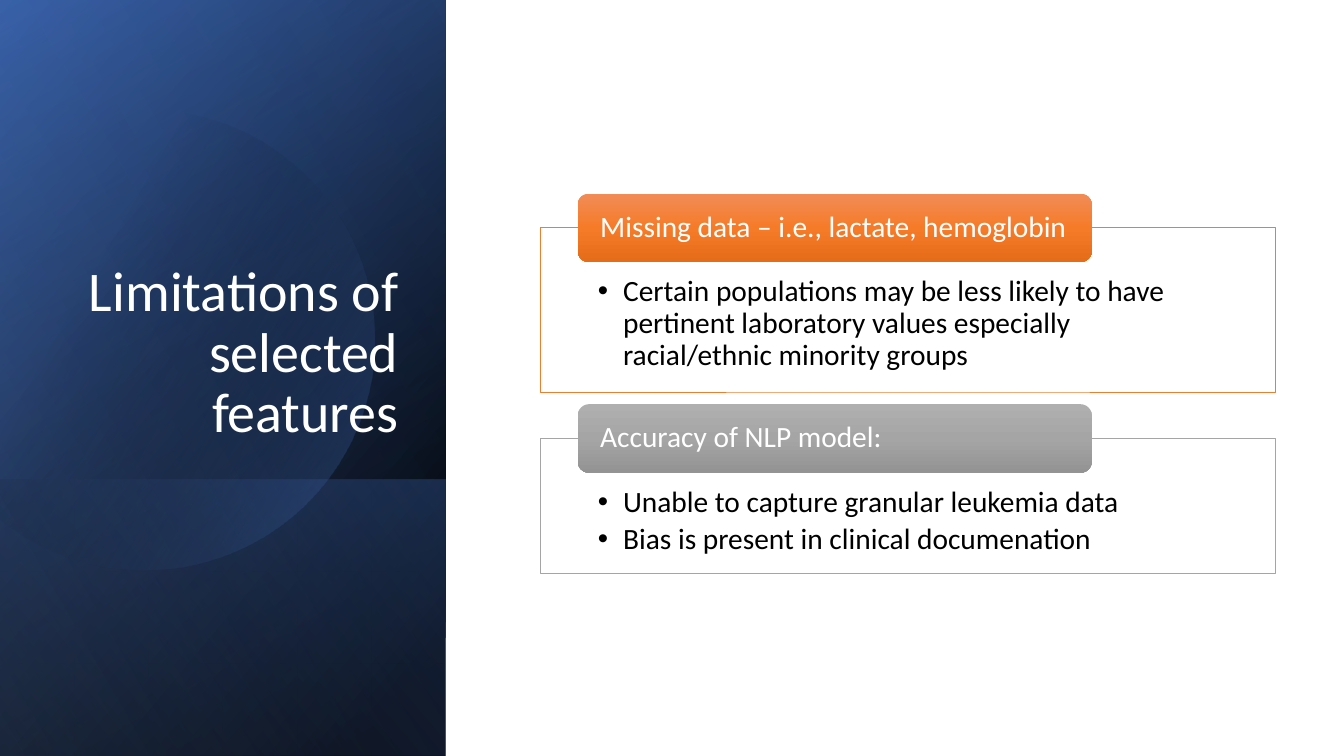
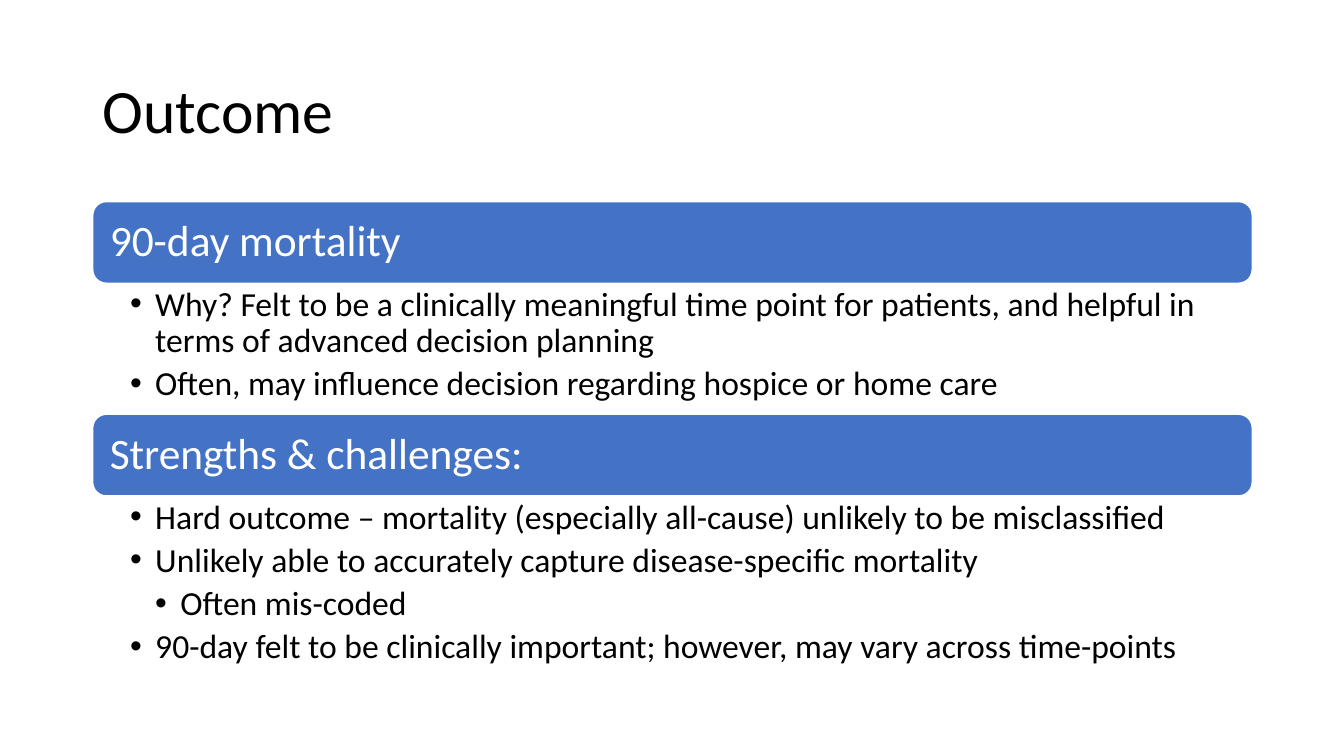
"""Build two slides on feature limitations and the mortality outcome."""
import math

from lxml import etree
from pptx import Presentation, util as u
from pptx.dml import color
from pptx.enum import shapes, text
from pptx.oxml import ns

FONT = "Calibri"
BLACK, WHITE, BLUE = "000000", "FFFFFF", "4472C4"
ORANGE, GRAY = "ED7D31", "A5A5A5"
ORANGE_STOPS = [(0, "F18C57", 100), (50, "F67B28", 100), (100, "E56C19", 100)]
GRAY_STOPS = [(0, "AFAFAF", 100), (50, GRAY, 100), (100, "939393", 100)]
PANEL_WIDTH = 4.42
SLIDE_HEIGHT = 7.5
PANEL_LAYERS = [
    (SLIDE_HEIGHT, 50, [(8, BLACK, 100), (100, "2F5597", 100)]),
    (SLIDE_HEIGHT, 30, [(0, BLACK, 0), (99, BLUE, 46)]),
    (2.74, 130, [(2, BLUE, 29), (100, BLACK, 30)]),
]
PANEL_SHEEN = (SLIDE_HEIGHT, 120, [(0, BLACK, 0), (99, "8FAADC", 11)])
LIMITATIONS = [
    (1.92, 1.63, ORANGE, ORANGE_STOPS, "Missing data – i.e., lactate, hemoglobin",
     [("Certain populations may be less likely to have pertinent laboratory values "
       "especially racial/ethnic minority groups", 1)]),
    (4.01, 1.34, GRAY, GRAY_STOPS, "Accuracy of NLP model:",
     [("Unable to capture granular leukemia data", 1),
      ("Bias is present in clinical documenation", 1)]),
]
OUTCOMES = [
    (2, 1.3, "90-day mortality",
     [("Why? Felt to be a clinically meaningful time point for patients, and helpful "
       "in terms of advanced decision planning", 1),
      ("Often, may influence decision regarding hospice or home care", 1)]),
    (4.11, 1.82, "Strengths & challenges:",
     [("Hard outcome – mortality (especially all-cause) unlikely to be misclassified", 1),
      ("Unlikely able to accurately capture disease-specific mortality", 1),
      ("Often mis-coded", 2),
      ("90-day felt to be clinically important; however, may vary across time-points", 1)]),
]


def rgb(value):
    """Turn a hex string into a colour."""
    return color.RGBColor.from_string(value)


def set_values(target, values):
    """Set each attribute named in a dict of format values."""
    for name, value in values.items():
        setattr(target, name, value)


def fill_gradient(shape, stops, angle):
    """Fill a shape with (position, colour, opacity) stops, angle clockwise."""
    shape.fill.gradient()
    shape.fill.gradient_angle = (360 - angle) % 360
    stop_list = next(shape._element.spPr.iter(ns.qn("a:gsLst")))
    for child in list(stop_list):
        stop_list.remove(child)
    for position, value, opacity in stops:
        stop = etree.SubElement(stop_list, ns.qn("a:gs"), pos=str(position * 1000))
        tint = etree.SubElement(stop, ns.qn("a:srgbClr"), val=value)
        if opacity < 100:
            etree.SubElement(tint, ns.qn("a:alpha"), val=str(opacity * 1000))


def set_line(shape, value=None, width=1):
    """Give a shape an outline, or none without a colour."""
    shape.shadow.inherit = False
    if value is None:
        shape.line.fill.background()
    else:
        shape.line.color.rgb = rgb(value)
        shape.line.width = u.Pt(width)


def add_box(slide, kind, box, fill=None, line=None, width=1):
    """Add a preset shape with a solid fill and an outline."""
    shape = slide.shapes.add_shape(kind, *map(u.Inches, box))
    set_line(shape, line, width)
    if fill:
        shape.fill.solid()
        shape.fill.fore_color.rgb = rgb(fill)
    return shape


def add_bullet(paragraph, level):
    """Give a paragraph a hanging round bullet."""
    properties = paragraph._p.get_or_add_pPr()
    properties.set("marL", str(u.Inches(0.25 * level)))
    properties.set("indent", str(u.Inches(-0.25)))
    etree.SubElement(properties, ns.qn("a:buFont"), typeface="Arial")
    etree.SubElement(properties, ns.qn("a:buChar"), char="•")


def write(shape, items, size, value, insets=(0.1, 0.05, 0.1, 0.05),
          anchor=text.MSO_ANCHOR.TOP, align=text.PP_ALIGN.LEFT, after=0):
    """Write (text, bullet level) items into a shape."""
    frame = shape.text_frame
    sides = ("margin_left", "margin_top", "margin_right", "margin_bottom")
    set_values(frame, dict(zip(sides, map(u.Inches, insets)),
                           word_wrap=True, vertical_anchor=anchor))
    for index, (words, level) in enumerate(items):
        paragraph = frame.add_paragraph() if index else frame.paragraphs[0]
        set_values(paragraph, {"alignment": align, "line_spacing": 0.9,
                               "space_after": u.Pt(after)})
        if level:
            add_bullet(paragraph, level)
        run = paragraph.add_run()
        run.text = words
        set_values(run.font, {"name": FONT, "size": u.Pt(size)})
        run.font.color.rgb = rgb(value)


def add_text(slide, box, items, size, value, **layout):
    """Add a text box."""
    write(slide.shapes.add_textbox(*map(u.Inches, box)), items, size, value, **layout)


def add_panel_layer(slide, height, angle, stops):
    """Add a turned, mirrored gradient layer resting on the panel's bottom."""
    left = (PANEL_WIDTH - height) / 2
    top = SLIDE_HEIGHT - (height + PANEL_WIDTH) / 2
    layer = add_box(slide, shapes.MSO_SHAPE.RECTANGLE, (left, top, height, PANEL_WIDTH))
    layer.rotation = 90
    layer._element.spPr.xfrm.set("flipH", "1")
    fill_gradient(layer, stops, angle)


def add_disc(slide, center_x=1.43, center_y=3.37, radius=2.28, reach=129):
    """Add the glowing disc cut off by the slide's left edge."""
    points = [(u.Inches(center_x + radius * math.cos(math.radians(degree))),
               u.Inches(center_y + radius * math.sin(math.radians(degree))))
              for degree in range(-reach, reach + 1, 2)]
    builder = slide.shapes.build_freeform(*points[0])
    builder.add_line_segments(points[1:], close=True)
    disc = builder.convert_to_shape()
    set_line(disc)
    fill_gradient(disc, [(29, BLACK, 0), (100, BLUE, 43)], 30)


def add_limitation(slide, top, height, line, stops, heading, bullets):
    """Add an outlined box with a gradient label across its top edge."""
    body = add_box(slide, shapes.MSO_SHAPE.RECTANGLE,
                   (5.36, top + 0.34, 7.29, height), WHITE, line, 0.5)
    write(body, bullets, 21, BLACK, insets=(0.57, 0.48, 0.57, 0.16), after=4)
    label = add_box(slide, shapes.MSO_SHAPE.ROUNDED_RECTANGLE, (5.73, top, 5.1, 0.68))
    fill_gradient(label, stops, 90)
    write(label, [(heading, 0)], 21, WHITE, insets=(0.19, 0, 0.19, 0),
          anchor=text.MSO_ANCHOR.MIDDLE)


def add_outcome(slide, top, height, heading, bullets):
    """Add a blue heading bar with bullets below it."""
    bar = add_box(slide, shapes.MSO_SHAPE.ROUNDED_RECTANGLE,
                  (0.92, top, 11.5, 0.81), BLUE, WHITE)
    write(bar, [(heading, 0)], 31, WHITE, insets=(0.13,) * 4,
          anchor=text.MSO_ANCHOR.MIDDLE)
    add_text(slide, (0.92, top + 0.81, 11.5, height), bullets, 24, BLACK,
             insets=(0.37, 0.04, 0.24, 0.04), after=5)


def build_limitations(slide):
    """Build the slide with the dark title panel."""
    for layer in PANEL_LAYERS:
        add_panel_layer(slide, *layer)
    add_disc(slide)
    add_panel_layer(slide, *PANEL_SHEEN)
    add_text(slide, (0.64, 1.84, 3.41, 2.62), [("Limitations of selected features", 0)],
             40, WHITE, anchor=text.MSO_ANCHOR.BOTTOM, align=text.PP_ALIGN.RIGHT)
    for limitation in LIMITATIONS:
        add_limitation(slide, *limitation)


def build_outcome(slide):
    """Build the slide with the heading bars."""
    add_text(slide, (0.92, 0.4, 11.5, 1.45), [("Outcome", 0)], 44, BLACK,
             anchor=text.MSO_ANCHOR.MIDDLE)
    for outcome in OUTCOMES:
        add_outcome(slide, *outcome)


def main():
    """Build and save the presentation."""
    presentation = Presentation()
    set_values(presentation, {"slide_width": u.Inches(13.33),
                              "slide_height": u.Inches(SLIDE_HEIGHT)})
    for build in (build_limitations, build_outcome):
        build(presentation.slides.add_slide(presentation.slide_layouts[6]))
    presentation.save("out.pptx")


if __name__ == "__main__":
    main()
